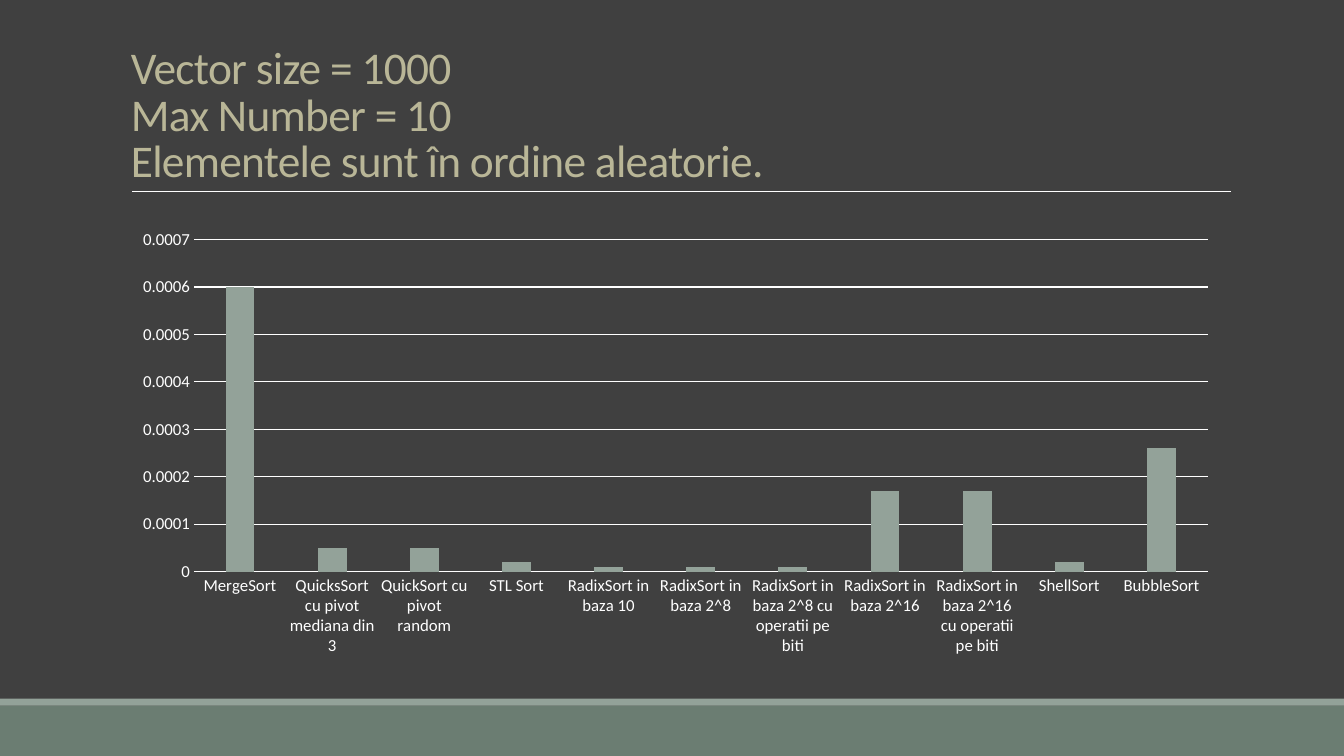
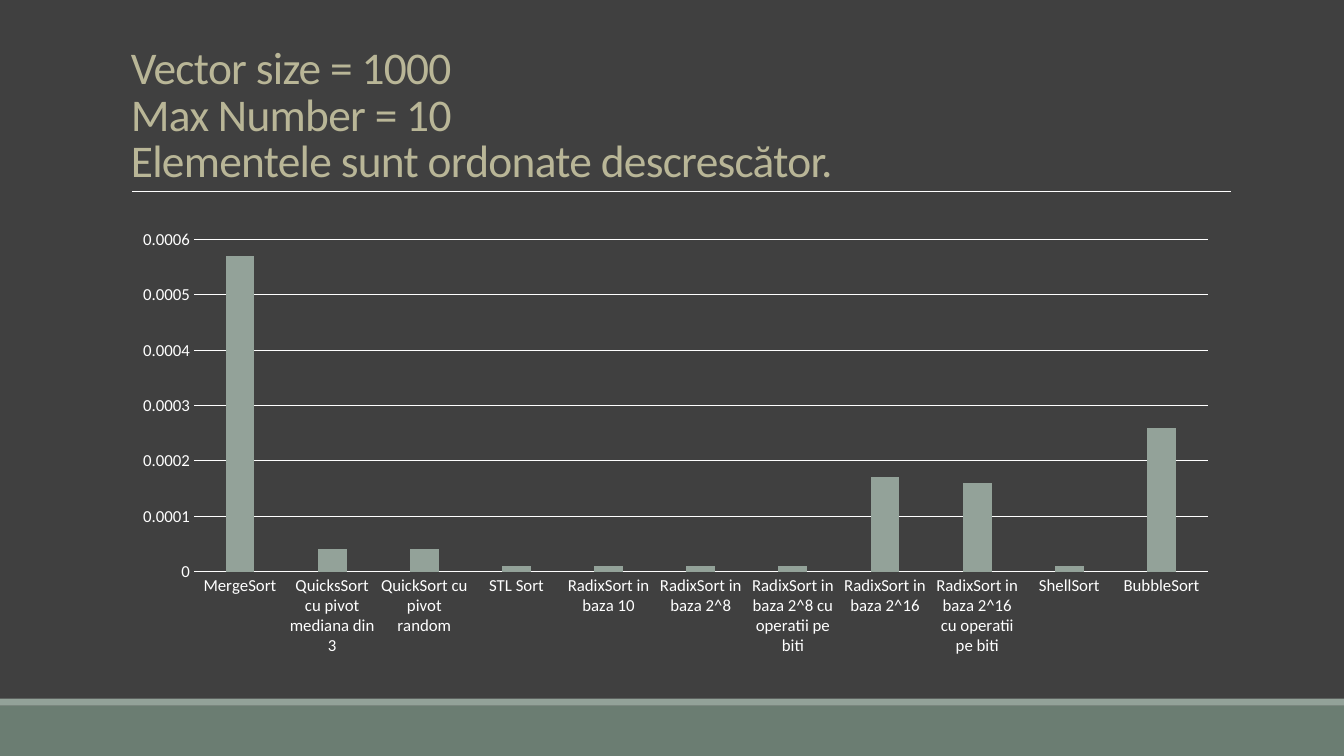
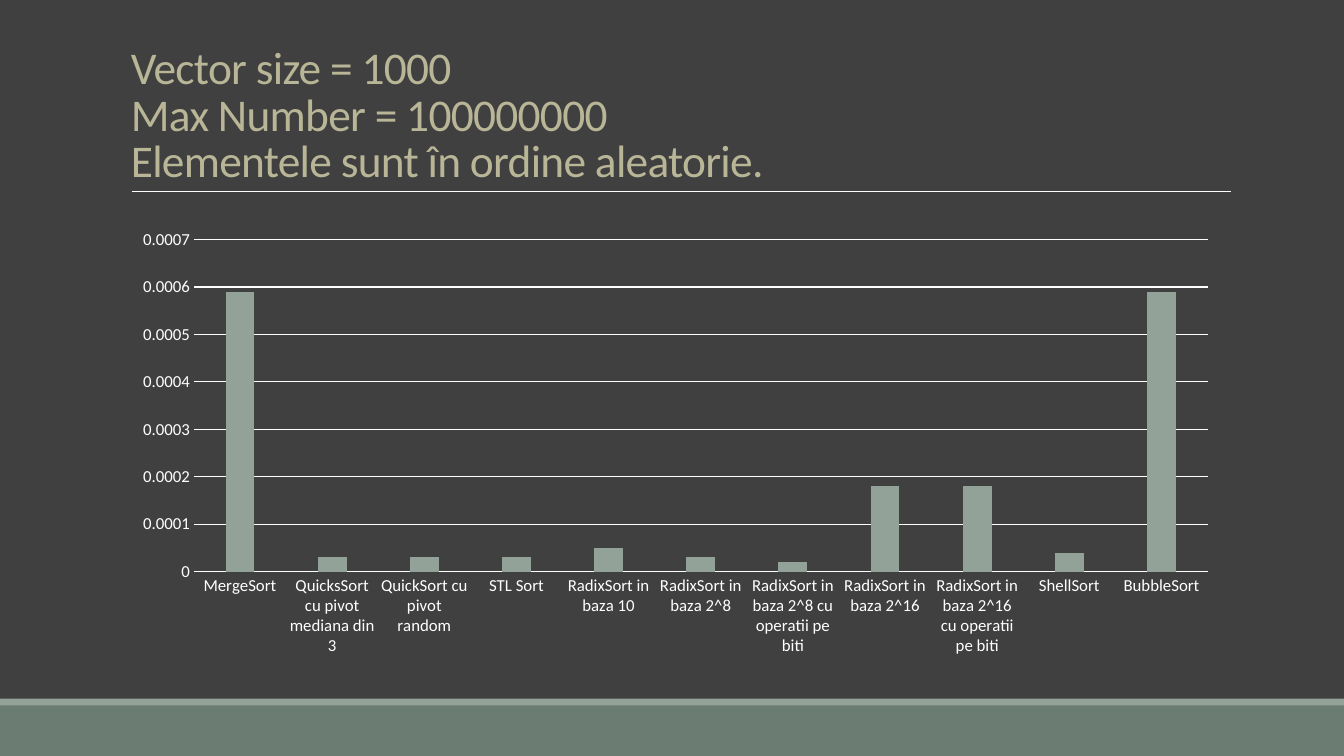
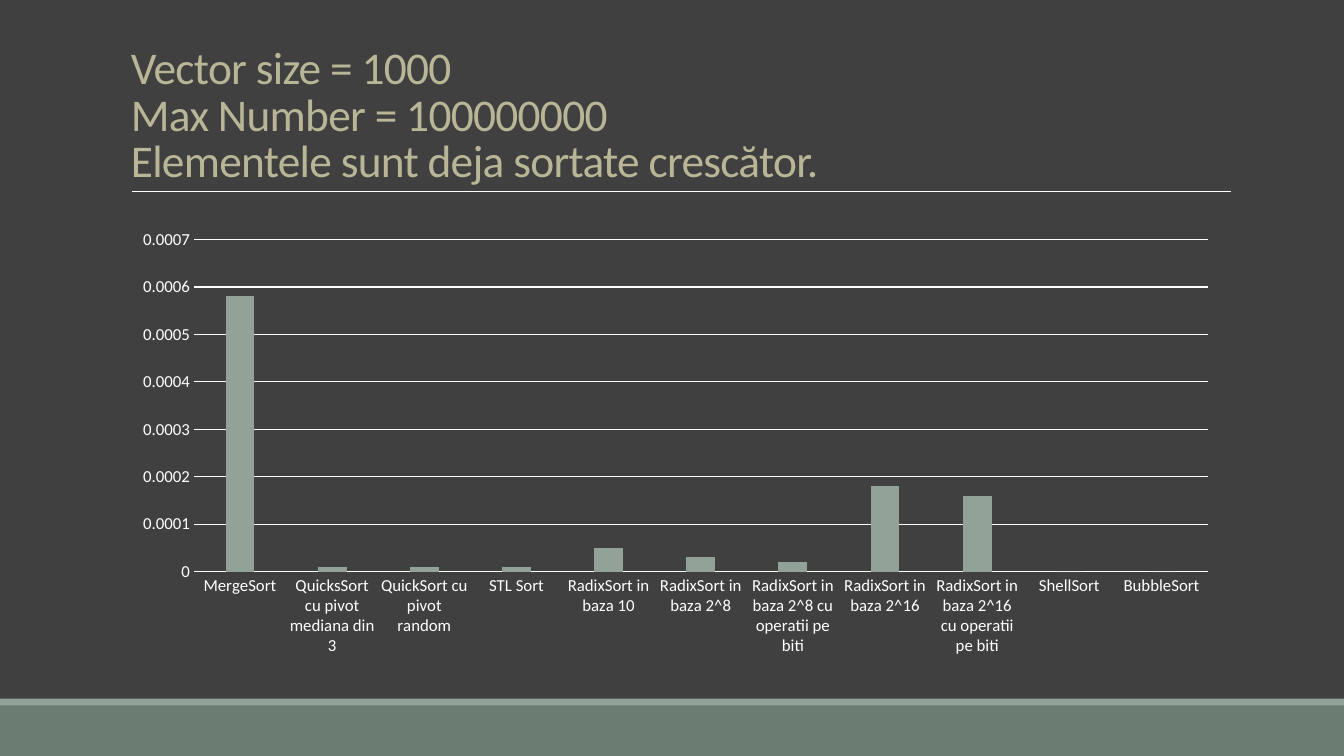
from dataclasses import dataclass

from lxml.etree import SubElement
from pptx import Presentation
from pptx.chart.data import CategoryChartData
from pptx.dml.color import RGBColor
from pptx.enum.chart import XL_CHART_TYPE as ChartType, XL_TICK_MARK as TickMark
from pptx.enum.shapes import MSO_CONNECTOR as Connector, MSO_SHAPE as Shape
from pptx.enum.text import MSO_ANCHOR as Anchor
from pptx.oxml.ns import qn
from pptx.slide import Slide
from pptx.util import Inches, Pt

# Shared style
FONT = "Calibri"
BACKGROUND = "404040"
WHITE = "FFFFFF"
SAND = "B9B697"
SAGE = "93A299"
DARK_SAGE = "6B7D72"

# The slide is a grid of 100 columns and 100 rows
WIDTH, HEIGHT = Inches(13.33), Inches(7.5)
COLUMN, ROW = WIDTH / 100, HEIGHT / 100


@dataclass(frozen=True)
class Area:
    """A place on the slide, in grid columns and rows."""
    left: float
    top: float
    columns: float
    rows: float

    def box(self) -> tuple[int, int, int, int]:
        return (round(self.left * COLUMN), round(self.top * ROW),
                round(self.columns * COLUMN), round(self.rows * ROW))


@dataclass(frozen=True)
class Band:
    area: Area
    color: str


@dataclass(frozen=True)
class Benchmark:
    """One test setup, with the running time of each algorithm."""
    max_number: int
    order: str
    axis_max: float
    times: tuple[float, ...]


BANDS = (
    Band(Area(0, 93.33, 100, 6.67), DARK_SAGE),
    Band(Area(0, 92.4, 100, 0.93), SAGE),
)
TITLE = Area(9, 4.13, 82.5, 21.2)
RULE = Area(9.83, 25.33, 81.75, 0)
CHART = Area(9, 29.2, 82.5, 58.67)

VECTOR_SIZE = 1000
ALGORITHMS = (
    "MergeSort",
    "QuicksSort cu pivot mediana din 3",
    "QuickSort cu pivot random",
    "STL Sort",
    "RadixSort in baza 10",
    "RadixSort in baza 2^8",
    "RadixSort in baza 2^8 cu operatii pe biti",
    "RadixSort in baza 2^16",
    "RadixSort in baza 2^16 cu operatii pe biti",
    "ShellSort",
    "BubbleSort",
)
BENCHMARKS = (
    Benchmark(10, "Elementele sunt în ordine aleatorie.", 0.0007,
              (0.0006, 0.00005, 0.00005, 0.00002, 0.00001, 0.00001,
               0.00001, 0.00017, 0.00017, 0.00002, 0.00026)),
    Benchmark(10, "Elementele sunt ordonate descrescător.", 0.0006,
              (0.00057, 0.00004, 0.00004, 0.00001, 0.00001, 0.00001,
               0.00001, 0.00017, 0.00016, 0.00001, 0.00026)),
    Benchmark(100000000, "Elementele sunt în ordine aleatorie.", 0.0007,
              (0.00059, 0.00003, 0.00003, 0.00003, 0.00005, 0.00003,
               0.00002, 0.00018, 0.00018, 0.00004, 0.00059)),
    Benchmark(100000000, "Elementele sunt deja sortate crescător.", 0.0007,
              (0.00058, 0.00001, 0.00001, 0.00001, 0.00005, 0.00003,
               0.00002, 0.00018, 0.00016, 0, 0)),
)


def rgb(code: str) -> RGBColor:
    return RGBColor.from_string(code)


def style_font(font, size: float, color: str) -> None:
    font.name = FONT
    font.size = Pt(size)
    font.color.rgb = rgb(color)


def style_line(line, width: float) -> None:
    line.color.rgb = rgb(WHITE)
    line.width = Pt(width)


def draw_frame(slide: Slide) -> None:
    """Background, bottom bands and the rule under the title."""
    slide.background.fill.solid()
    slide.background.fill.fore_color.rgb = rgb(BACKGROUND)
    for band in BANDS:
        strip = slide.shapes.add_shape(Shape.RECTANGLE, *band.area.box())
        strip.shadow.inherit = False
        strip.fill.solid()
        strip.fill.fore_color.rgb = rgb(band.color)
        strip.line.fill.background()

    left, top, width, height = RULE.box()
    rule = slide.shapes.add_connector(
        Connector.STRAIGHT, left, top, left + width, top + height)
    style_line(rule.line, 0.5)
    SubElement(rule.element.spPr, qn("a:effectLst"))


def draw_title(slide: Slide, lines: tuple[str, ...]) -> None:
    frame = slide.shapes.add_textbox(*TITLE.box()).text_frame
    frame.word_wrap = True
    frame.vertical_anchor = Anchor.BOTTOM
    paragraph = frame.paragraphs[0]
    paragraph.line_spacing = 0.85
    for number, line in enumerate(lines):
        if number:
            paragraph.add_line_break()
        run = paragraph.add_run()
        run.text = line
        style_font(run.font, 32.4, SAND)
        # Letter spacing, in hundredths of a point
        run._r.get_or_add_rPr().set("spc", "-50")


def draw_chart(slide: Slide, benchmark: Benchmark) -> None:
    data = CategoryChartData()
    data.categories = ALGORITHMS
    data.add_series("Series 1", benchmark.times)
    chart = slide.shapes.add_chart(
        ChartType.COLUMN_CLUSTERED, *CHART.box(), data).chart
    chart.has_title = False
    chart.has_legend = False
    style_font(chart.font, 10, WHITE)

    # Columns
    plot = chart.plots[0]
    plot.gap_width = 219
    plot.overlap = -27
    plot.vary_by_categories = False
    fill = plot.series[0].format.fill
    fill.solid()
    fill.fore_color.rgb = rgb(SAGE)

    # Axes
    algorithms, seconds = chart.category_axis, chart.value_axis
    for axis in (algorithms, seconds):
        axis.major_tick_mark = axis.minor_tick_mark = TickMark.NONE
        style_font(axis.tick_labels.font, 12, WHITE)
    style_line(algorithms.format.line, 0.75)
    seconds.format.line.fill.background()
    seconds.has_major_gridlines = True
    style_line(seconds.major_gridlines.format.line, 0.75)
    seconds.minimum_scale = 0
    seconds.maximum_scale = benchmark.axis_max
    seconds.major_unit = 0.0001
    seconds.tick_labels.number_format = "General"
    seconds.tick_labels.number_format_is_linked = False


def main() -> None:
    deck = Presentation()
    deck.slide_width, deck.slide_height = WIDTH, HEIGHT
    blank = deck.slide_layouts[6]
    for benchmark in BENCHMARKS:
        slide = deck.slides.add_slide(blank)
        draw_frame(slide)
        draw_title(slide, (f"Vector size = {VECTOR_SIZE}",
                           f"Max Number = {benchmark.max_number}",
                           benchmark.order))
        draw_chart(slide, benchmark)
    deck.save("out.pptx")


if __name__ == "__main__":
    main()
